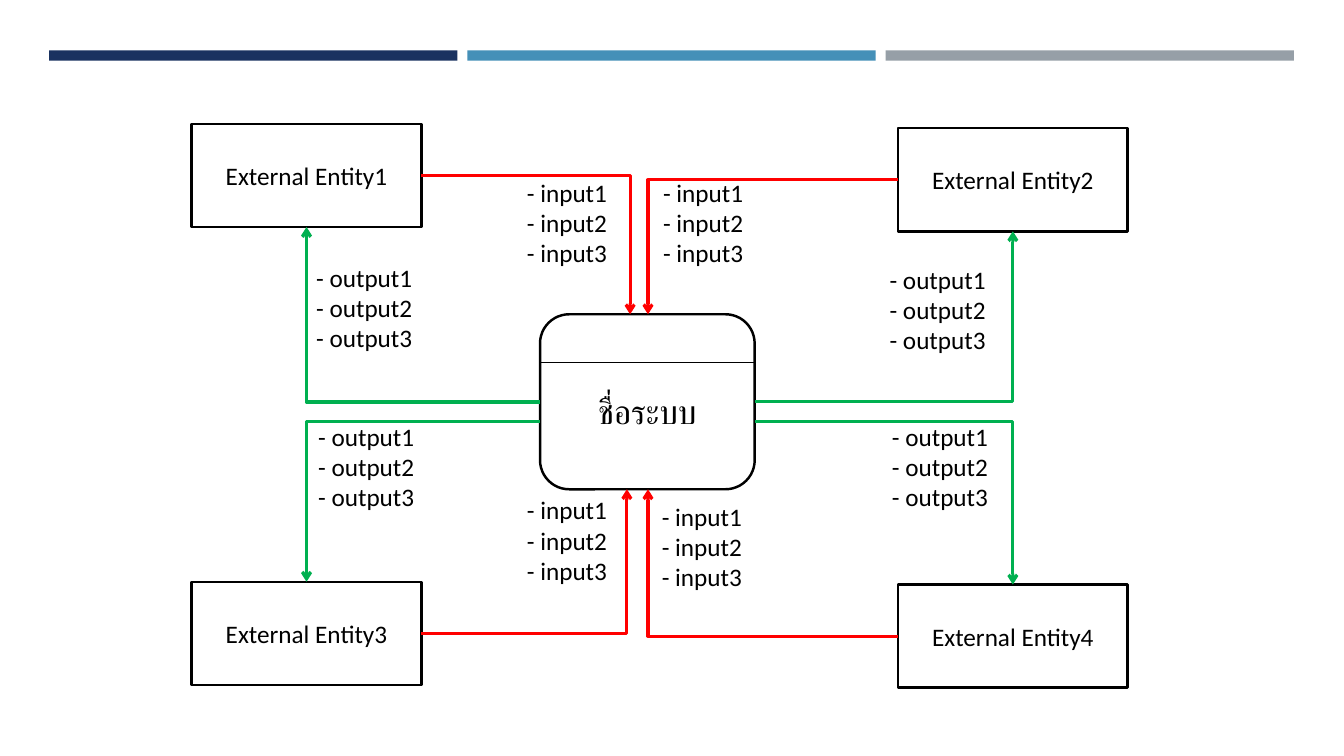
from dataclasses import dataclass

from lxml.etree import SubElement
from pptx import Presentation
from pptx.dml.color import RGBColor
from pptx.enum.shapes import MSO_CONNECTOR as Link, MSO_SHAPE as Shape
from pptx.enum.text import MSO_ANCHOR as Anchor, MSO_AUTO_SIZE as AutoSize, PP_ALIGN as Align
from pptx.oxml.ns import qn
from pptx.util import Cm, Pt


@dataclass(frozen=True)
class Theme:
    font: str = "Calibri"
    body: float = 18
    system: float = 24
    ink: str = "000000"
    paper: str = "FFFFFF"
    input: str = "FF0000"
    output: str = "00B050"
    bars: tuple = ("1A3260", "4590B8", "969FA7")
    outline: float = 1.75
    divider: float = 1
    flow: float = 2.25


THEME = Theme()
SYSTEM_NAME = "ชื่อระบบ"
INPUTS = ["- input1", "- input2", "- input3"]
OUTPUTS = ["- output1", "- output2", "- output3"]
ENTITIES = [
    dict(name="External Entity1", at=(4.83, 3.12), input_x=15.88,
         input_label=(13.03, 4.34), output_label=(7.72, 6.48)),
    dict(name="External Entity2", at=(22.63, 3.23), input_x=16.33,
         input_label=(16.46, 4.34), output_label=(22.17, 6.53)),
    dict(name="External Entity3", at=(4.83, 14.66), input_x=15.8,
         input_label=(13.03, 12.34), output_label=(7.77, 10.49)),
    dict(name="External Entity4", at=(22.63, 14.73), input_x=16.33,
         input_label=(16.43, 12.5), output_label=(22.23, 10.49)),
]

BAR_LEFT, BAR_TOP, BAR_WIDTH, BAR_HEIGHT, BAR_STEP = 1.24, 1.27, 10.29, 0.26, 10.54
ENTITY_WIDTH, ENTITY_HEIGHT = 5.79, 2.6
SYSTEM_LEFT, SYSTEM_TOP, SYSTEM_WIDTH, SYSTEM_HEIGHT = 13.61, 7.92, 5.41, 4.41
SYSTEM_RIGHT, SYSTEM_BOTTOM = SYSTEM_LEFT + SYSTEM_WIDTH, SYSTEM_TOP + SYSTEM_HEIGHT
DIVIDER_Y = 9.14
UPPER_OUTPUT_Y, LOWER_OUTPUT_Y = 10.13, 10.62
INPUT_LABEL_SIZE, OUTPUT_LABEL_SIZE = (3, 3.33), (3.63, 3.33)


def color(code):
    return RGBColor.from_string(code)


def write(frame, lines, size, align):
    for index, line in enumerate(lines):
        para = frame.paragraphs[0] if index == 0 else frame.add_paragraph()
        para.alignment = align
        span = para.add_run()
        span.text = line
        span.font.name = THEME.font
        span.font.size = Pt(size)
        span.font.color.rgb = color(THEME.ink)


def add_box(page, kind, at, size, fill, outlined=True):
    box = page.shapes.add_shape(kind, *map(Cm, at + size))
    box.shadow.inherit = False
    box.fill.solid()
    box.fill.fore_color.rgb = color(fill)
    if outlined:
        box.line.color.rgb = color(THEME.ink)
        box.line.width = Pt(THEME.outline)
    else:
        box.line.fill.background()
    return box


def add_label(page, at, size, lines, type_size=THEME.body, align=Align.LEFT):
    box = page.shapes.add_textbox(*map(Cm, at + size))
    box.text_frame.word_wrap = True
    box.text_frame.auto_size = AutoSize.SHAPE_TO_FIT_TEXT
    write(box.text_frame, lines, type_size, align)


def add_line(page, kind, start, end, ink, width):
    line = page.shapes.add_connector(kind, *map(Cm, start + end))
    line.line.color.rgb = color(ink)
    line.line.width = Pt(width)
    SubElement(line._element.spPr, qn("a:effectLst"))
    return line


def add_flow(page, start, end, ink):
    flow = add_line(page, Link.ELBOW, start, end, ink, THEME.flow)
    SubElement(flow.line._get_or_add_ln(), qn("a:tailEnd")).set("type", "arrow")
    properties = flow._element.spPr
    properties.find(qn("a:prstGeom")).set("prst", "bentConnector2")
    leftward, upward = end[0] < start[0], end[1] < start[1]
    turn = properties.find(qn("a:xfrm"))
    turn.set("rot", "10800000" if leftward else "0")
    turn.set("flipH", "0")
    turn.set("flipV", "1" if leftward != upward else "0")


def add_system(page):
    add_box(page, Shape.ROUNDED_RECTANGLE, (SYSTEM_LEFT, SYSTEM_TOP),
            (SYSTEM_WIDTH, SYSTEM_HEIGHT), THEME.paper)
    add_line(page, Link.STRAIGHT, (SYSTEM_LEFT, DIVIDER_Y), (SYSTEM_RIGHT, DIVIDER_Y),
             THEME.ink, THEME.divider)
    add_label(page, (14.22, 9.73), (4.19, 1.27), [SYSTEM_NAME], THEME.system, Align.CENTER)


def add_entity(page, entity):
    left, top = entity["at"]
    on_left, above = left < SYSTEM_LEFT, top < SYSTEM_TOP
    box = add_box(page, Shape.RECTANGLE, entity["at"], (ENTITY_WIDTH, ENTITY_HEIGHT), THEME.paper)
    box.text_frame.word_wrap = True
    box.text_frame.vertical_anchor = Anchor.MIDDLE
    write(box.text_frame, [entity["name"]], THEME.body, Align.CENTER)

    inner_x = left + ENTITY_WIDTH if on_left else left
    inner_y = top + ENTITY_HEIGHT if above else top
    add_flow(page, (inner_x, top + ENTITY_HEIGHT / 2),
             (entity["input_x"], SYSTEM_TOP if above else SYSTEM_BOTTOM), THEME.input)
    add_flow(page, (SYSTEM_LEFT if on_left else SYSTEM_RIGHT,
                    UPPER_OUTPUT_Y if above else LOWER_OUTPUT_Y),
             (left + ENTITY_WIDTH / 2, inner_y), THEME.output)
    add_label(page, entity["input_label"], INPUT_LABEL_SIZE, INPUTS)
    add_label(page, entity["output_label"], OUTPUT_LABEL_SIZE, OUTPUTS)


def main():
    deck = Presentation()
    deck.slide_width, deck.slide_height = Cm(33.87), Cm(19.05)
    page = deck.slides.add_slide(deck.slide_layouts[6])
    for index, fill in enumerate(THEME.bars):
        add_box(page, Shape.RECTANGLE, (BAR_LEFT + index * BAR_STEP, BAR_TOP),
                (BAR_WIDTH, BAR_HEIGHT), fill, outlined=False)
    add_system(page)
    for entity in ENTITIES:
        add_entity(page, entity)
    deck.save("out.pptx")


if __name__ == "__main__":
    main()
